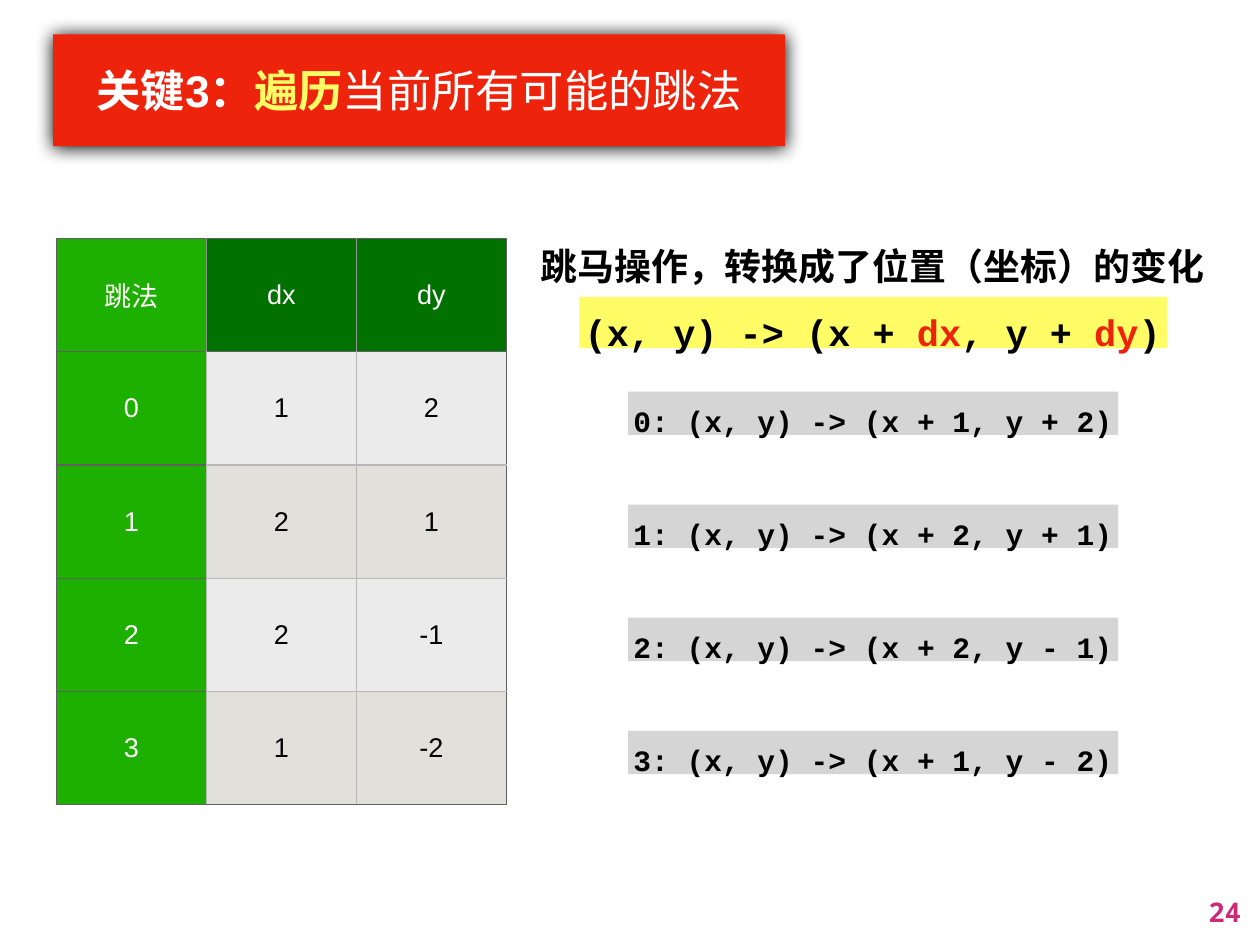
import pptx
import pptx.dml.color
import pptx.enum.shapes
import pptx.enum.text
import pptx.oxml
import pptx.oxml.ns
import pptx.util
from dataclasses import dataclass

Pt = pptx.util.Pt
ALIGN = pptx.enum.text.PP_ALIGN
FIT = pptx.enum.text.MSO_AUTO_SIZE


@dataclass(frozen=True)
class Theme:
    """Colours, fonts and type sizes of the slide."""
    red: str = "EE230C"
    yellow: str = "FFFC66"
    white: str = "FFFFFF"
    black: str = "000000"
    magenta: str = "CB2A7A"
    code_grey: str = "D6D5D5"
    header_green: str = "017101"
    label_green: str = "1EB001"
    bands: tuple = ("EBEBEB", "E1E0DA")
    outer_line: str = "606060"
    header_line: str = "929292"
    body_line: str = "B8B8B8"
    sans: str = "Arial"
    code: str = "Courier New"
    number: str = "Noto Sans Mono"
    title_size: int = 36
    lead_size: int = 30
    code_size: int = 24
    small_size: int = 22


THEME = Theme()
MOVES = [(1, 2), (2, 1), (2, -1), (1, -2)]
COLUMN_WIDTH, ROW_HEIGHT = 121.9, 92.1


def rgb(color):
    """Turn a hex string into a colour."""
    return pptx.dml.color.RGBColor.from_string(color)


def paint(item, color):
    """Give a shape or cell a plain fill."""
    item.fill.solid()
    item.fill.fore_color.rgb = rgb(color)


def add_span(para, text, font, size, color, bold=True):
    """Append one formatted run to a paragraph."""
    span = para.add_run()
    span.text = text
    span.font.name = font
    span.font.size = Pt(size)
    span.font.bold = bold
    span.font.color.rgb = rgb(color)


def set_frame(frame, inset, wrap, fit):
    """Set equal insets, middle anchoring, wrapping and fitting."""
    frame.margin_left = frame.margin_right = Pt(inset)
    frame.margin_top = frame.margin_bottom = Pt(inset)
    frame.vertical_anchor = pptx.enum.text.MSO_ANCHOR.MIDDLE
    frame.word_wrap = wrap
    frame.auto_size = fit


def add_title(page):
    """Format the title placeholder as a red banner with a shadow."""
    title = page.shapes.title
    title.left, title.top, title.width, title.height = Pt(43.2), Pt(28), Pt(594.7), Pt(90.7)
    paint(title, THEME.red)
    title.shadow.inherit = False
    effects = title.element.spPr.find(pptx.oxml.ns.qn("a:effectLst"))
    effects.append(pptx.oxml.parse_xml(
        f'<a:outerShdw {pptx.oxml.ns.nsdecls("a")} blurRad="{Pt(15)}" dist="{Pt(0.7)}" '
        f'dir="5400000" rotWithShape="0"><a:srgbClr val="{THEME.black}"/></a:outerShdw>'))
    set_frame(title.text_frame, 5, True, FIT.NONE)
    para = title.text_frame.paragraphs[0]
    para.alignment = ALIGN.CENTER
    for text, color, bold in [("关键3：", THEME.white, True), ("遍历", THEME.yellow, True),
                              ("当前所有可能的跳法", THEME.white, False)]:
        add_span(para, text, THEME.sans, THEME.title_size, color, bold)


def add_line(page, place, parts, font, size, fill=None, align=ALIGN.LEFT, spacing=1.4):
    """Add one line of bold text, on a coloured strip if a fill is given."""
    left, top, width, height = map(Pt, place)
    if fill:
        box = page.shapes.add_shape(pptx.enum.shapes.MSO_SHAPE.RECTANGLE, left, top, width, height)
        box.shadow.inherit = False
        box.line.fill.background()
        paint(box, fill)
    else:
        box = page.shapes.add_textbox(left, top, width, height)
    set_frame(box.text_frame, 4.3, False, FIT.SHAPE_TO_FIT_TEXT)
    para = box.text_frame.paragraphs[0]
    para.alignment = align
    para.line_spacing = spacing
    for text, color in parts:
        add_span(para, text, font, size, color)


def set_borders(cell, colors):
    """Draw the left, right, top and bottom borders of a cell."""
    properties = cell._tc.get_or_add_tcPr()
    for index, (side, color) in enumerate(zip("LRTB", colors)):
        properties.insert(index, pptx.oxml.parse_xml(
            f'<a:ln{side} {pptx.oxml.ns.nsdecls("a")} w="{Pt(1)}"><a:solidFill>'
            f'<a:srgbClr val="{color}"/></a:solidFill></a:ln{side}>'))


def add_moves_table(page):
    """Add the table of coordinate changes for each move."""
    rows = [("跳法", "dx", "dy")] + [(index, *move) for index, move in enumerate(MOVES)]
    row_count, column_count = len(rows), len(rows[0])
    frame = page.shapes.add_table(row_count, column_count, Pt(45.9), Pt(193.7),
                                  Pt(COLUMN_WIDTH * column_count), Pt(ROW_HEIGHT * row_count))
    table = frame.table
    table.first_row = table.horz_banding = False

    def upright(row, edge):
        """Colour the vertical edge of a row."""
        if edge in (0, column_count):
            return THEME.outer_line
        return THEME.header_line if row == 0 else THEME.body_line

    def level(edge, column):
        """Colour the horizontal edge of a column."""
        return THEME.outer_line if column == 0 or edge in (0, 1, row_count) else THEME.body_line

    for row, values in enumerate(rows):
        for column, value in enumerate(values):
            cell = table.cell(row, column)
            if column == 0:
                fill = THEME.label_green
            else:
                fill = THEME.bands[(row - 1) % 2] if row else THEME.header_green
            paint(cell, fill)
            set_borders(cell, (upright(row, column), upright(row, column + 1),
                               level(row, column), level(row + 1, column)))
            cell.margin_left = cell.margin_right = cell.margin_top = cell.margin_bottom = Pt(4.3)
            cell.vertical_anchor = pptx.enum.text.MSO_ANCHOR.MIDDLE
            para = cell.text_frame.paragraphs[0]
            para.alignment = ALIGN.CENTER
            color = THEME.black if row and column else THEME.white
            add_span(para, str(value), THEME.sans, THEME.small_size, color, False)


def signed(step):
    """Write a step with its sign apart from the number."""
    return f"{'+' if step > 0 else '-'} {abs(step)}"


def main():
    """Build the slide and save it."""
    deck = pptx.Presentation()
    deck.slide_width, deck.slide_height = Pt(1024), Pt(768)
    page = deck.slides.add_slide(deck.slide_layouts.get_by_name("Title Only"))
    add_title(page)
    add_line(page, (975.6, 722.9, 37.4, 36), [("24", THEME.magenta)], THEME.number,
             THEME.small_size, align=ALIGN.RIGHT, spacing=1.0)
    add_line(page, (434.9, 183.6, 549.4, 49.7),
             [("跳马操作，转换成了位置（坐标）的变化", THEME.black)], THEME.sans, THEME.lead_size)
    add_line(page, (470.9, 241.2, 477.4, 41.8),
             [("(x, y) -> (x + ", THEME.black), ("dx", THEME.red), (", y + ", THEME.black),
              ("dy", THEME.red), (")", THEME.black)],
             THEME.code, THEME.lead_size, THEME.yellow)
    add_moves_table(page)
    for index, (dx, dy) in enumerate(MOVES):
        text = f"{index}: (x, y) -> (x {signed(dx)}, y {signed(dy)})"
        add_line(page, (510.5, 318.2 + 91.9 * index, 398.2, 35.3), [(text, THEME.black)],
                 THEME.code, THEME.code_size, THEME.code_grey)
    deck.save("out.pptx")


if __name__ == "__main__":
    main()
